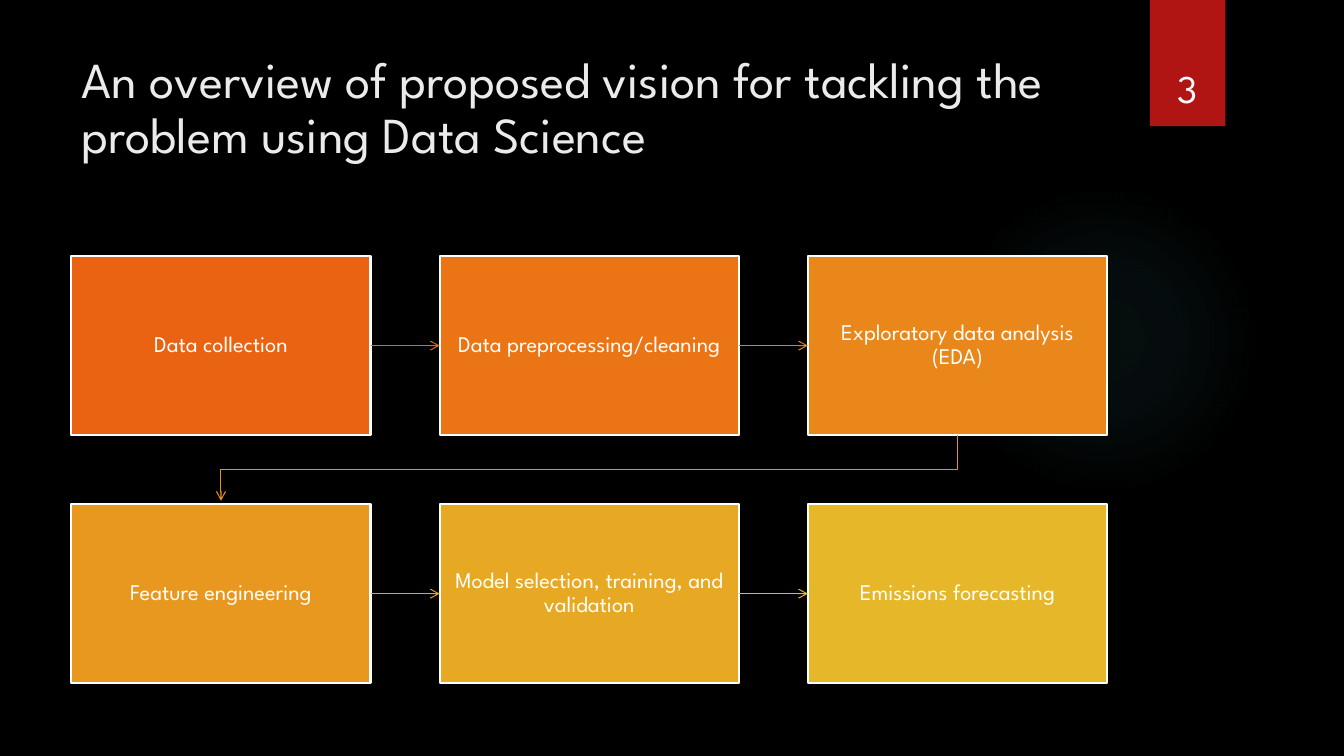
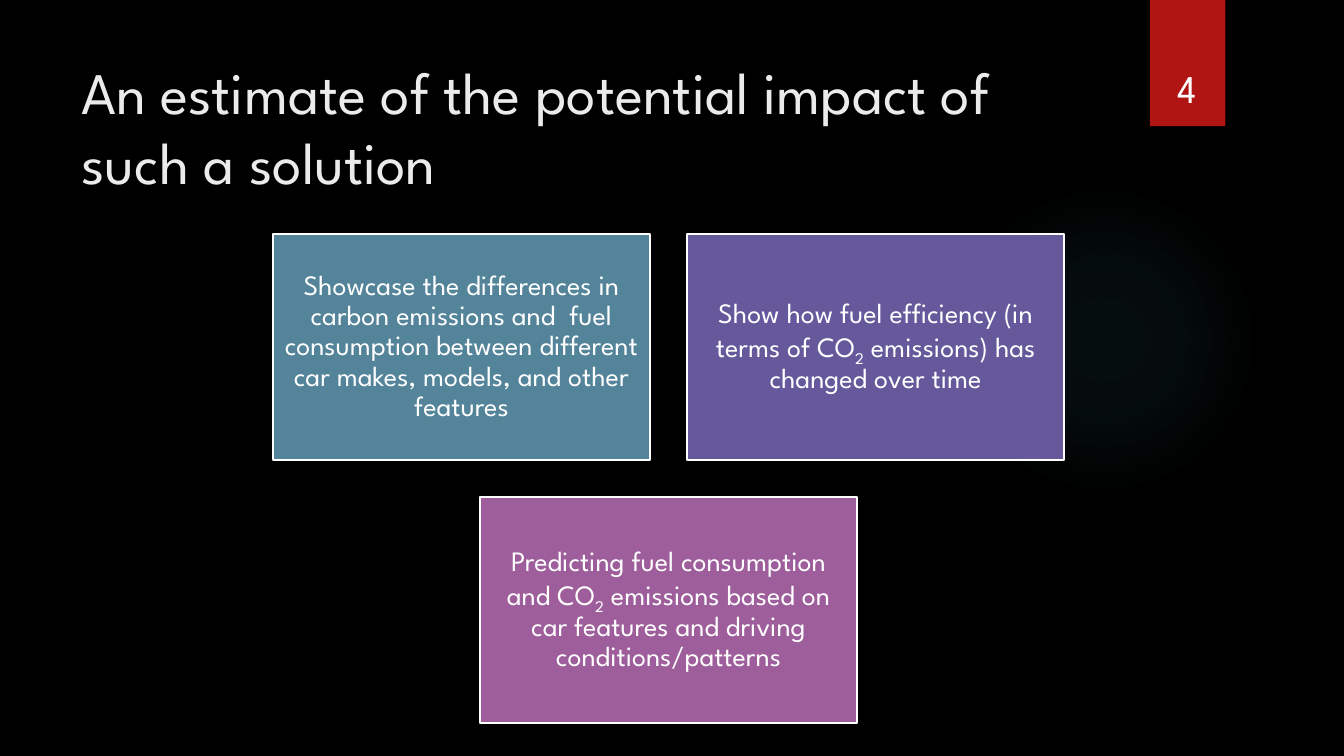
from pptx import Presentation
from pptx import util as u
from pptx.dml.color import RGBColor
from pptx.enum import shapes, text
from pptx.oxml import parse_xml
from pptx.oxml.ns import nsdecls, qn
from pptx.oxml.xmlchemy import OxmlElement

Cm, Pt = u.Cm, u.Pt

# Shared style
FONT = "League Spartan"
WHITE, TITLE, BAND, GLOW, BACK = "FFFFFF", "EBEBEB", "B01513", "50B9C1", "000000"
GLOW_STOPS = [(0, 7), (36, 6), (69, 0)]  # position %, opacity %

# Content
STEPS_TITLE = "An overview of proposed vision for tackling the problem using Data Science"
STEPS = [  # text, fill, colour of the arrow to the next step
    ("Data collection", "EA6312", "EA6312"),
    ("Data preprocessing/cleaning", "EB7515", "EB7A16"),
    ("Exploratory data analysis (EDA)", "EA871A", "E9901C"),
    ("Feature engineering", "E8981F", "E8A423"),
    ("Model selection, training, and validation", "E7A824", "E6B729"),
    ("Emissions forecasting", "E6B729", None),
]
IMPACT_TITLE = "An estimate of the potential impact of such a solution"
IMPACTS = [  # runs (every second one is a subscript), fill
    (["Showcase the differences in carbon emissions and  fuel consumption "
      "between different car makes, models, and other features"], "54849A"),
    (["Show how fuel efficiency (in terms of CO", "2",
      " emissions) has changed over time"], "65599C"),
    (["Predicting fuel consumption and CO", "2",
      " emissions based on car features and driving conditions/patterns"], "9E5E9B"),
]


def rgb(value):
    return RGBColor.from_string(value)


def add_run(p, content, size, color=WHITE, subscript=False):
    r = p.add_run()
    r.text = content
    r.font.name, r.font.size = FONT, Pt(size)
    r.font.color.rgb = rgb(color)
    if subscript:
        r._r.get_or_add_rPr().set("baseline", "-25000")


def plain_shape(slide, kind, left, top, width, height, fill):
    sp = slide.shapes.add_shape(kind, Cm(left), Cm(top), Cm(width), Cm(height))
    sp.shadow.inherit = False
    sp.fill.solid()
    sp.fill.fore_color.rgb = rgb(fill)
    sp.line.fill.background()
    return sp


def add_box(slide, left, top, width, height, runs, fill, size, inset):
    sp = plain_shape(slide, shapes.MSO_SHAPE.RECTANGLE, left, top, width, height, fill)
    sp.line.color.rgb = rgb(WHITE)
    sp.line.width = Pt(1.5)
    tf = sp.text_frame
    tf.word_wrap = True
    tf.vertical_anchor = text.MSO_ANCHOR.MIDDLE
    tf.margin_left = tf.margin_right = tf.margin_top = tf.margin_bottom = Cm(inset)
    p = tf.paragraphs[0]
    p.alignment = text.PP_ALIGN.CENTER
    p.line_spacing = 0.9
    for i, content in enumerate(runs):
        add_run(p, content, size, subscript=i % 2 == 1)
    return sp


def style_arrow(line_shape, color):
    line_shape.line.color.rgb = rgb(color)
    line_shape.line.width = Pt(0.75)
    sp_pr = line_shape.element.spPr
    tail = OxmlElement("a:tailEnd")
    tail.set("type", "arrow")
    sp_pr.find(qn("a:ln")).append(tail)
    if sp_pr.find(qn("a:effectLst")) is None:
        sp_pr.append(OxmlElement("a:effectLst"))


def straight_arrow(slide, start, end, color):
    c = slide.shapes.add_connector(shapes.MSO_CONNECTOR.STRAIGHT, 0, 0, 0, 0)
    c.begin_connect(start, 3)
    c.end_connect(end, 1)
    style_arrow(c, color)


def row_break_arrow(slide, start, end, color):
    x1, x2 = start.left + start.width // 2, end.left + end.width // 2
    y1, y2 = start.top + start.height, end.top
    middle = (y1 + y2) // 2
    builder = slide.shapes.build_freeform(x1, y1)
    builder.add_line_segments([(x1, middle), (x2, middle), (x2, y2 - Cm(0.08))], close=False)
    sp = builder.convert_to_shape()
    sp.shadow.inherit = False
    sp.fill.background()
    style_arrow(sp, color)


def decorate_layout(layout, slide):
    """Draw the glow and the number band, then move them to the layout."""
    glow = plain_shape(slide, shapes.MSO_SHAPE.OVAL, 23.9, 4.65, 7.82, 7.82, GLOW)
    stops = "".join(
        f'<a:gs pos="{pos * 1000}"><a:srgbClr val="{GLOW}">'
        f'<a:alpha val="{alpha * 1000}"/></a:srgbClr></a:gs>'
        for pos, alpha in GLOW_STOPS)
    gradient = parse_xml(
        f'<a:gradFill {nsdecls("a")}><a:gsLst>{stops}</a:gsLst><a:path path="circle">'
        '<a:fillToRect l="50000" t="50000" r="50000" b="50000"/></a:path></a:gradFill>')
    sp_pr = glow.element.spPr
    sp_pr.replace(sp_pr.find(qn("a:solidFill")), gradient)
    band = plain_shape(slide, shapes.MSO_SHAPE.RECTANGLE, 28.98, 0, 1.9, 3.18, BAND)
    for sp in (glow, band):
        layout.shapes.element.append(sp.element)


def add_slide(prs, layout, title, size, spacing, number):
    slide = prs.slides.add_slide(layout)
    # Title
    sp = slide.shapes.title
    sp.left, sp.top, sp.width, sp.height = Cm(1.8), Cm(1.27), Cm(26.14), Cm(3.89)
    tf = sp.text_frame
    tf.word_wrap = True
    tf.auto_size = text.MSO_AUTO_SIZE.NONE
    tf.vertical_anchor = text.MSO_ANCHOR.TOP
    p = tf.paragraphs[0]
    p.alignment = text.PP_ALIGN.LEFT
    p.line_spacing = spacing
    add_run(p, title, size, TITLE)
    # Slide number
    tf = slide.shapes.add_textbox(Cm(28.75), Cm(0.81), Cm(2.34), Cm(2.13)).text_frame
    tf.word_wrap = True
    tf.vertical_anchor = text.MSO_ANCHOR.BOTTOM
    p = tf.paragraphs[0]
    p.alignment = text.PP_ALIGN.CENTER
    p.space_after = Pt(6)
    add_run(p, number, 28)
    return slide


def add_steps(slide):
    columns = 3
    boxes = []
    for i, (label, fill, _) in enumerate(STEPS):
        row, col = divmod(i, columns)
        boxes.append(add_box(slide, 1.8 + col * 9.28, 6.45 + row * 6.25,
                             7.54, 4.52, [label], fill, 16, 0.38))
    for i, (start, end) in enumerate(zip(boxes, boxes[1:]), 1):
        arrow = straight_arrow if i % columns else row_break_arrow
        arrow(slide, start, end, STEPS[i - 1][2])


def add_impacts(slide):
    columns, pitch = 2, 10.44
    for i, (runs, fill) in enumerate(IMPACTS):
        row, col = divmod(i, columns)
        in_row = min(columns, len(IMPACTS) - row * columns)
        left = 6.88 + (col + (columns - in_row) / 2) * pitch
        add_box(slide, left, 5.89 + row * 6.64, 9.5, 5.7, runs, fill, 20, 0.2)


def main():
    prs = Presentation()
    prs.slide_width, prs.slide_height = Cm(33.87), Cm(19.05)
    background = prs.slide_master.background.fill
    background.solid()
    background.fore_color.rgb = rgb(BACK)
    layout = prs.slide_layouts[5]

    steps = add_slide(prs, layout, STEPS_TITLE, 36, 0.9, "3")
    decorate_layout(layout, steps)
    add_steps(steps)
    add_impacts(add_slide(prs, layout, IMPACT_TITLE, 42, 1.0, "4"))
    prs.save("out.pptx")


if __name__ == "__main__":
    main()
